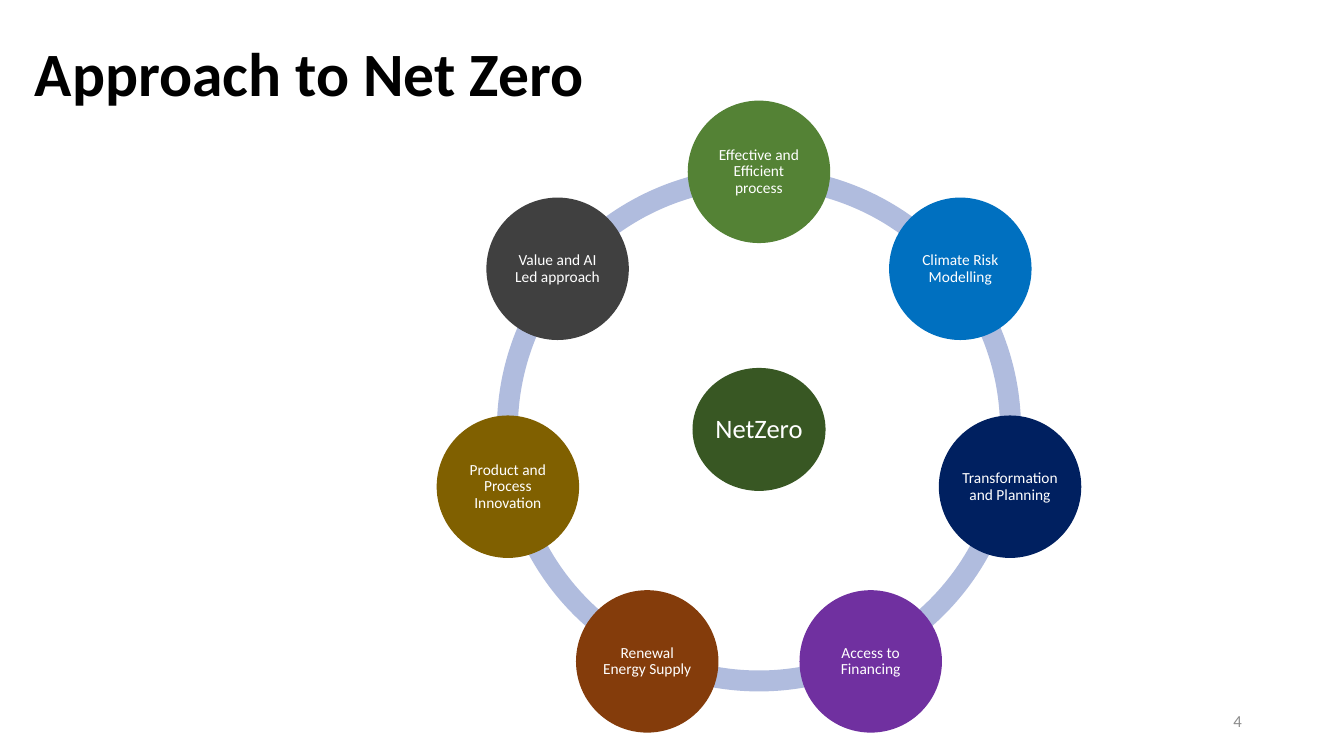
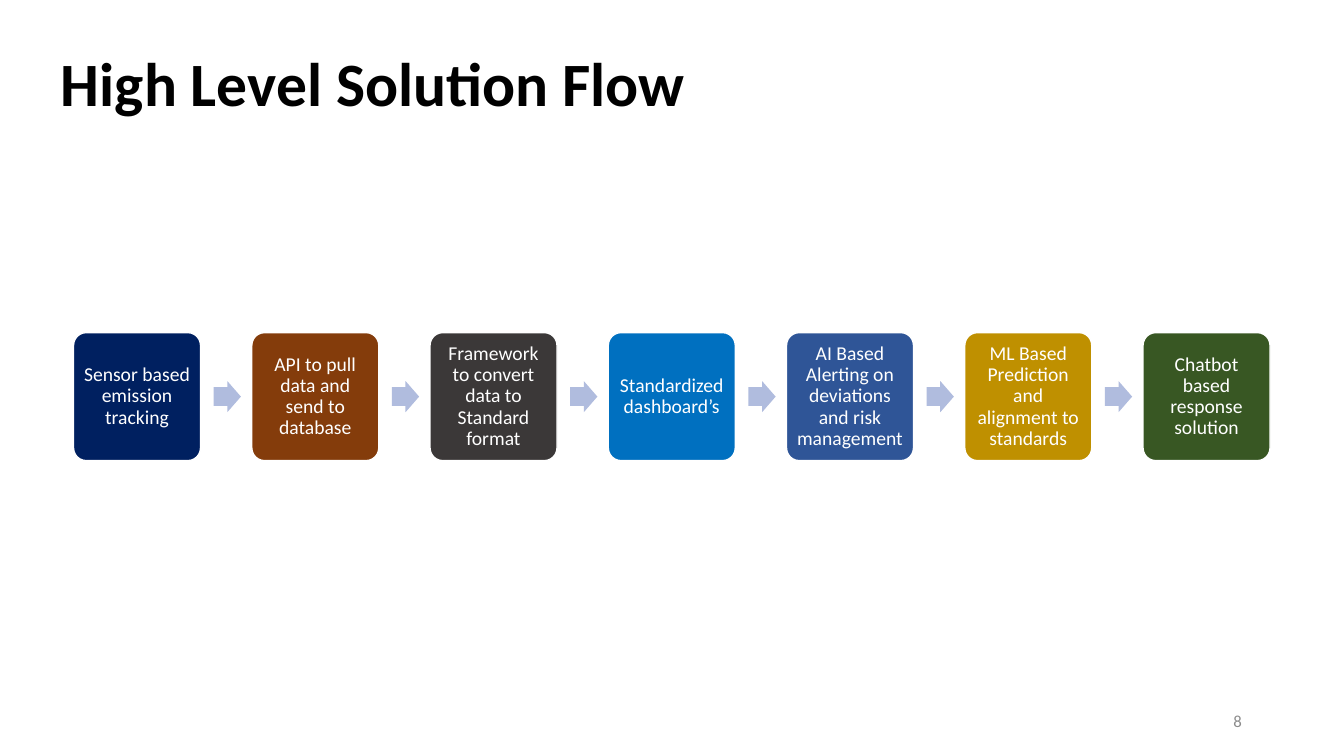
from math import cos, pi, sin

from pptx import Presentation
from pptx.dml.color import RGBColor
from pptx.enum.shapes import MSO_SHAPE
from pptx.enum.text import MSO_ANCHOR, MSO_AUTO_SIZE, PP_ALIGN
from pptx.util import Inches, Pt

# Slide grid: 160 columns by 90 rows of square cells
COLS, ROWS = 160, 90
CELL = Inches(7.5) / ROWS

HUES = {
    "black": "000000", "white": "FFFFFF", "gray": "8C8C8C", "pale": "B0BCDE",
    "pine": "385723", "leaf": "548235", "blue": "0070C0", "navy": "002060",
    "plum": "7030A0", "rust": "843C0B", "olive": "806000", "slate": "404040",
    "coal": "3B3838", "steel": "2F5597", "gold": "BF9000",
}

# Text styles: font, frame and paragraph values
FACE = {"name": "Calibri", "bold": False}
MID = {"word_wrap": True, "auto_size": MSO_AUTO_SIZE.NONE,
       "vertical_anchor": MSO_ANCHOR.MIDDLE}
HEAD = {"hue": "black", "font": {**FACE, "size": Pt(44), "bold": True},
        "frame": {**MID, "vertical_anchor": MSO_ANCHOR.BOTTOM},
        "para": {"alignment": PP_ALIGN.CENTER, "line_spacing": 0.9}}
FOOT = {"hue": "gray", "font": {**FACE, "size": Pt(12)}, "frame": MID,
        "para": {"alignment": PP_ALIGN.RIGHT}}


def label(size, inset):
    sides = ("left", "top", "right", "bottom")
    pad = {f"margin_{side}": Inches(inset) for side in sides}
    return {"hue": "white", "font": {**FACE, "size": Pt(size)},
            "frame": {**MID, **pad}, "para": HEAD["para"]}


def fit(shape, cells, text="", style=None, fill=None):
    """Place a shape on the grid, then fill it and write its text."""
    for side, value in zip(("left", "top", "width", "height"), cells):
        setattr(shape, side, round(value * CELL))
    if fill:
        shape.shadow.inherit = False
        shape.fill.solid()
        shape.fill.fore_color.rgb = RGBColor.from_string(HUES[fill])
        shape.line.fill.background()
    if text:
        frame = shape.text_frame
        frame.text = text
        para = frame.paragraphs[0]
        font = para.runs[0].font
        font.color.rgb = RGBColor.from_string(HUES[style["hue"]])
        for part, key in ((frame, "frame"), (para, "para"), (font, "font")):
            for name, value in style[key].items():
                setattr(part, name, value)
    return shape


deck = Presentation()
deck.slide_width = round(COLS * CELL)
deck.slide_height = round(ROWS * CELL)

# Titles and page numbers
pages = []
for title, cells, page in (
    ("Approach to Net Zero", (-3.6, -3.72, 80.88, 17.4), "4"),
    ("High Level Solution Flow", (3, -2.52, 82.92, 17.4), "8"),
):
    slide = deck.slides.add_slide(deck.slide_layouts[5])
    fit(slide.shapes.title, cells, title, HEAD)
    fit(slide.shapes.add_textbox(0, 0, 0, 0), (113.04, 83.4, 36, 4.8), page, FOOT)
    pages.append(slide.shapes)
wheel, flow = pages

# Wheel: ring and hub
MX, MY = 90.36, 51.12
RING, ORBIT, DISC = 62.4, 30.66, 16.96
HUBW, HUBH = 15.84, 14.64

ring = wheel.add_shape(MSO_SHAPE.DONUT, 0, 0, 1, 1)
fit(ring, (MX - RING / 2, MY - RING / 2, RING, RING), fill="pale")
ring.adjustments[0] = 0.04
hub = wheel.add_shape(MSO_SHAPE.OVAL, 0, 0, 1, 1)
fit(hub, (MX - HUBW / 2, MY - HUBH / 2, HUBW, HUBH), "NetZero", label(19, 0.03), "pine")

# Wheel: discs, clockwise from the top
themes = (
    ("Effective and Efficient process", "leaf"),
    ("Climate Risk Modelling", "blue"),
    ("Transformation and Planning", "navy"),
    ("Access to Financing", "plum"),
    ("Renewal Energy Supply", "rust"),
    ("Product and Process Innovation", "olive"),
    ("Value and AI Led approach", "slate"),
)
for i, (text, hue) in enumerate(themes):
    turn = 2 * pi * i / len(themes)
    x = MX + ORBIT * sin(turn) - DISC / 2
    y = MY - ORBIT * cos(turn) - DISC / 2
    disc = wheel.add_shape(MSO_SHAPE.OVAL, 0, 0, 1, 1)
    fit(disc, (x, y, DISC, DISC), text, label(11, 0.02), hue)

# Flow: cards joined by arrows
LEFT, STEP, AXIS = 8.76, 21.22, 47.22
CARDW, CARDH = 15.12, 15.24
TIPX, TIPW, TIPH = 16.68, 3.24, 3.72

steps = (
    ("Sensor based emission tracking", "navy"),
    ("API to pull data and send to database", "rust"),
    ("Framework to convert data to Standard format", "coal"),
    ("Standardized dashboard’s", "blue"),
    ("AI Based Alerting on deviations and risk management", "steel"),
    ("ML Based Prediction and alignment to standards", "gold"),
    ("Chatbot based response solution", "pine"),
)
for i, (text, hue) in enumerate(steps):
    x = LEFT + i * STEP
    card = flow.add_shape(MSO_SHAPE.ROUNDED_RECTANGLE, 0, 0, 1, 1)
    fit(card, (x, AXIS - CARDH / 2, CARDW, CARDH), text, label(14, 0.06), hue)
    card.adjustments[0] = 0.1
    card.line.color.rgb = RGBColor.from_string(HUES["white"])
    card.line.width = Pt(1)
    if i < len(steps) - 1:
        tip = flow.add_shape(MSO_SHAPE.RIGHT_ARROW, 0, 0, 1, 1)
        fit(tip, (x + TIPX, AXIS - TIPH / 2, TIPW, TIPH), fill="pale")
        tip.adjustments[0] = 0.6

deck.save("out.pptx")
